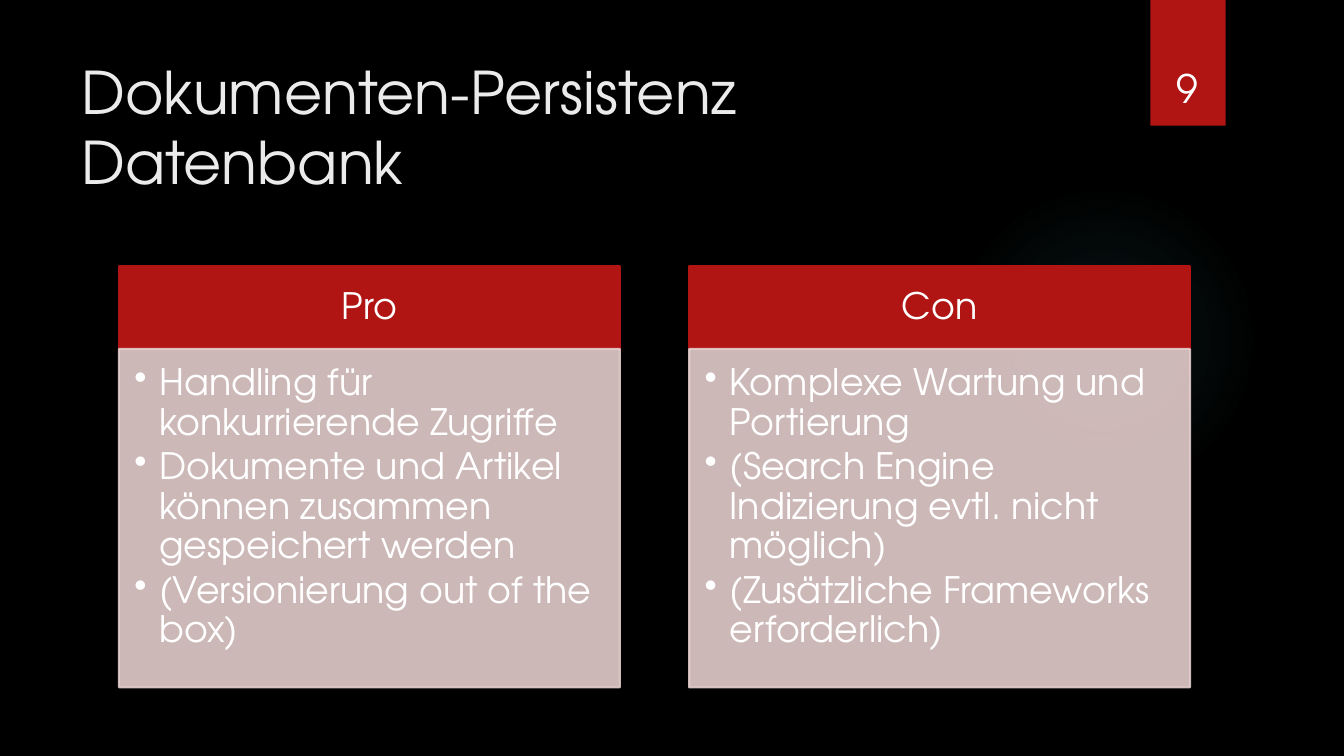
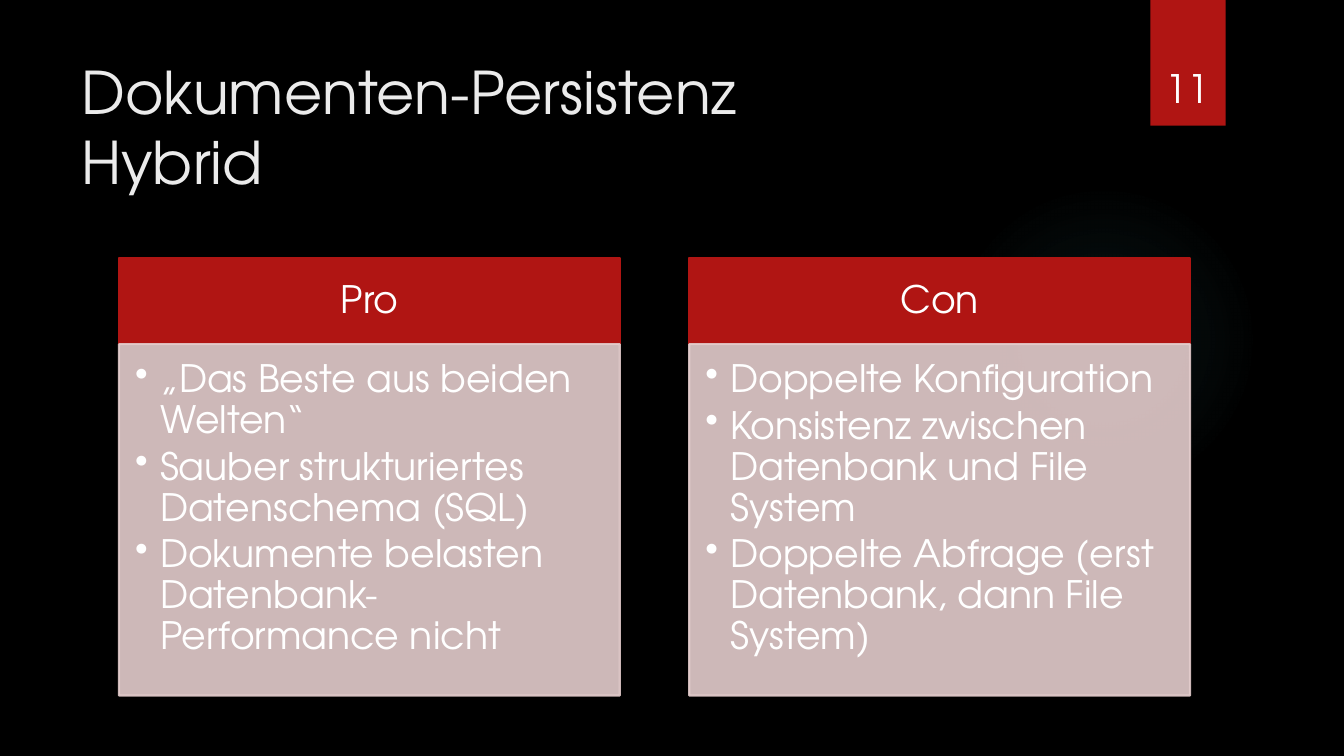
from dataclasses import dataclass
from typing import Any

from lxml.etree import SubElement
from pptx import Presentation
from pptx.dml.color import RGBColor
from pptx.enum.shapes import MSO_SHAPE as Preset
from pptx.enum.text import MSO_ANCHOR as Anchor, PP_ALIGN as Align
from pptx.oxml import parse_xml
from pptx.oxml.ns import nsdecls, qn
from pptx.util import Cm, Pt

FONT = "TeX Gyre Adventor"
BLACK = RGBColor(0x00, 0x00, 0x00)
RED = RGBColor(0xB0, 0x15, 0x13)
PINK = RGBColor(0xE4, 0xCC, 0xCC)
GLOW = RGBColor(0x50, 0xB9, 0xC1)
OFF_WHITE = RGBColor(0xEB, 0xEB, 0xEB)
WHITE = RGBColor(0xFF, 0xFF, 0xFF)

COLUMN_LEFT, COLUMN_WIDTH, COLUMN_PITCH = 3.0, 12.62, 14.37
COLUMNS_MIDDLE = 12.02
HEADING_RATIO, BODY_RATIO = 0.08, 0.328
BODY_OPACITY = 90
BULLET_INDENT = Cm(0.63)


@dataclass(frozen=True)
class Box:
    left: float
    top: float
    width: float
    height: float

    def lengths(self) -> tuple:
        return Cm(self.left), Cm(self.top), Cm(self.width), Cm(self.height)


@dataclass(frozen=True)
class Column:
    heading: str
    points: tuple[str, ...]


@dataclass(frozen=True)
class Comparison:
    number: int
    title: str
    size: int
    columns: tuple[Column, ...]


COMPARISONS = (
    Comparison(9, "Dokumenten-Persistenz\vDatenbank", 26, (
        Column("Pro", (
            "Handling für konkurrierende Zugriffe",
            "Dokumente und Artikel können zusammen gespeichert werden",
            "(Versionierung out of the box)",
        )),
        Column("Con", (
            "Komplexe Wartung und Portierung",
            "(Search Engine Indizierung evtl. nicht möglich)",
            "(Zusätzliche Frameworks erforderlich)",
        )),
    )),
    Comparison(11, "Dokumenten-Persistenz\vHybrid", 27, (
        Column("Pro", (
            "„Das Beste aus beiden Welten“",
            "Sauber strukturiertes Datenschema (SQL)",
            "Dokumente belasten Datenbank-Performance nicht",
        )),
        Column("Con", (
            "Doppelte Konfiguration",
            "Konsistenz zwischen Datenbank und File System",
            "Doppelte Abfrage (erst Datenbank, dann File System)",
        )),
    )),
)


def apply(target: Any, values: dict[str, Any]) -> None:
    for name, value in values.items():
        setattr(target, name, value)


def write(shape: Any, texts: tuple[str, ...], size: int, color: RGBColor,
          frame: dict[str, Any], paragraph: dict[str, Any]) -> None:
    text_frame = shape.text_frame
    apply(text_frame, {"word_wrap": True, **frame})
    for index, text in enumerate(texts):
        line = text_frame.paragraphs[0] if index == 0 else text_frame.add_paragraph()
        line.text = text
        apply(line, paragraph)
        for run in line.runs:
            apply(run.font, {"name": FONT, "size": Pt(size)})
            run.font.color.rgb = color


def add_panel(slide: Any, box: Box, color: RGBColor, preset: Preset = Preset.RECTANGLE) -> Any:
    panel = slide.shapes.add_shape(preset, *box.lengths())
    panel.shadow.inherit = False
    panel.fill.solid()
    panel.fill.fore_color.rgb = color
    panel.line.fill.background()
    return panel


def outline(panel: Any, color: RGBColor) -> None:
    panel.line.color.rgb = color
    panel.line.width = Pt(1.5)


def set_opacity(panel: Any, percent: int) -> None:
    for color in panel._element.spPr.iter(qn("a:srgbClr")):
        SubElement(color, qn("a:alpha")).set("val", str(percent * 1000))


def add_bullets(panel: Any) -> None:
    for paragraph in panel.text_frame.paragraphs:
        properties = paragraph._p.get_or_add_pPr()
        properties.set("marL", str(BULLET_INDENT))
        properties.set("indent", str(-BULLET_INDENT))
        spacing = SubElement(properties, qn("a:spcAft"))
        SubElement(spacing, qn("a:spcPct")).set("val", "15000")
        SubElement(properties, qn("a:buChar")).set("char", "•")


def draw_glow(slide: Any) -> None:
    glow = add_panel(slide, Box(23.9, 4.65, 7.82, 7.82), GLOW, Preset.OVAL)
    stops = "".join(
        f'<a:gs pos="{position}000"><a:srgbClr val="{GLOW}">'
        f'<a:alpha val="{alpha}000"/></a:srgbClr></a:gs>'
        for position, alpha in ((0, 7), (36, 6), (69, 0))
    )
    gradient = parse_xml(
        f'<a:gradFill {nsdecls("a")} rotWithShape="1"><a:gsLst>{stops}</a:gsLst>'
        '<a:path path="circle"><a:fillToRect l="50000" t="50000" r="50000" b="50000"/>'
        "</a:path></a:gradFill>"
    )
    properties = glow._element.spPr
    properties.replace(properties.find(qn("a:solidFill")), gradient)


def draw_number_tab(slide: Any, number: int) -> None:
    tab = add_panel(slide, Box(28.99, 0, 1.9, 3.17), RED)
    effects = tab._element.spPr.find(qn("a:effectLst"))
    effects.append(parse_xml(
        f'<a:outerShdw {nsdecls("a")} blurRad="{Pt(3)}" dist="{Pt(2)}" dir="5400000" '
        f'rotWithShape="0"><a:srgbClr val="{BLACK}"><a:alpha val="45000"/>'
        "</a:srgbClr></a:outerShdw>"
    ))
    label = slide.shapes.add_textbox(*Box(28.75, 0.81, 2.34, 2.13).lengths())
    write(label, (str(number),), 28, WHITE,
          {"vertical_anchor": Anchor.BOTTOM}, {"alignment": Align.CENTER})


def draw_column(slide: Any, column: Column, index: int, size: int) -> None:
    heading_height, body_height = HEADING_RATIO * size, BODY_RATIO * size
    left = COLUMN_LEFT + index * COLUMN_PITCH
    top = COLUMNS_MIDDLE - (heading_height + body_height) / 2
    side, edge = Cm(0.02 * size), Cm(0.01 * size)
    start = Cm(0.015 * size)

    heading = add_panel(slide, Box(left, top, COLUMN_WIDTH, heading_height), RED)
    outline(heading, RED)
    write(heading, (column.heading,), size, WHITE,
          {"vertical_anchor": Anchor.MIDDLE, "margin_left": side, "margin_right": side,
           "margin_top": edge, "margin_bottom": edge},
          {"alignment": Align.CENTER, "line_spacing": 0.9})

    body = add_panel(slide, Box(left, top + heading_height, COLUMN_WIDTH, body_height), PINK)
    outline(body, PINK)
    set_opacity(body, BODY_OPACITY)
    write(body, column.points, size, WHITE,
          {"vertical_anchor": Anchor.TOP, "margin_left": start, "margin_right": side,
           "margin_top": start, "margin_bottom": side},
          {"alignment": Align.LEFT, "line_spacing": 0.9})
    add_bullets(body)


def draw_comparison(deck: Any, comparison: Comparison) -> None:
    slide = deck.slides.add_slide(deck.slide_layouts[6])
    slide.background.fill.solid()
    slide.background.fill.fore_color.rgb = BLACK
    draw_glow(slide)
    draw_number_tab(slide, comparison.number)
    title = slide.shapes.add_textbox(*Box(1.8, 1.27, 26.14, 3.89).lengths())
    write(title, (comparison.title,), 42, OFF_WHITE,
          {"vertical_anchor": Anchor.TOP}, {"alignment": Align.LEFT})
    for index, column in enumerate(comparison.columns):
        draw_column(slide, column, index, comparison.size)


def main() -> None:
    deck = Presentation()
    apply(deck, {"slide_width": Cm(33.87), "slide_height": Cm(19.05)})
    for comparison in COMPARISONS:
        draw_comparison(deck, comparison)
    deck.save("out.pptx")


if __name__ == "__main__":
    main()
